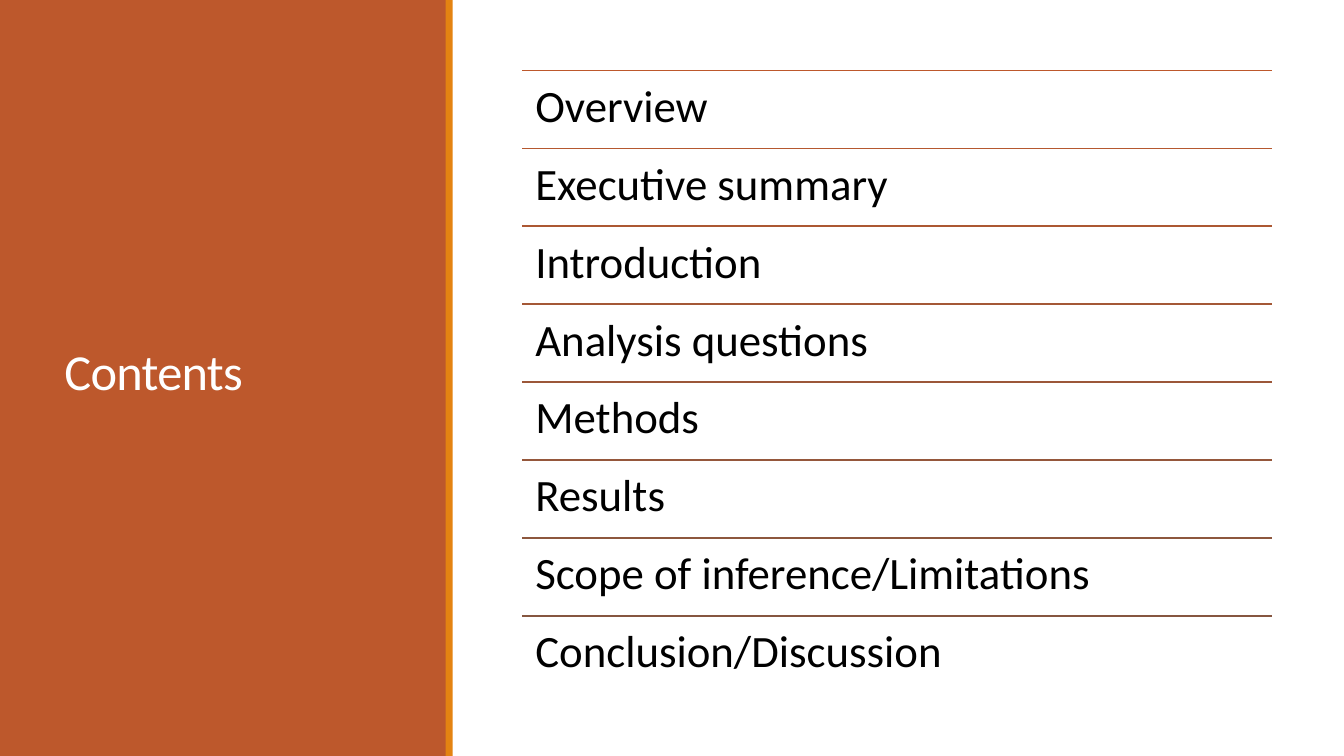
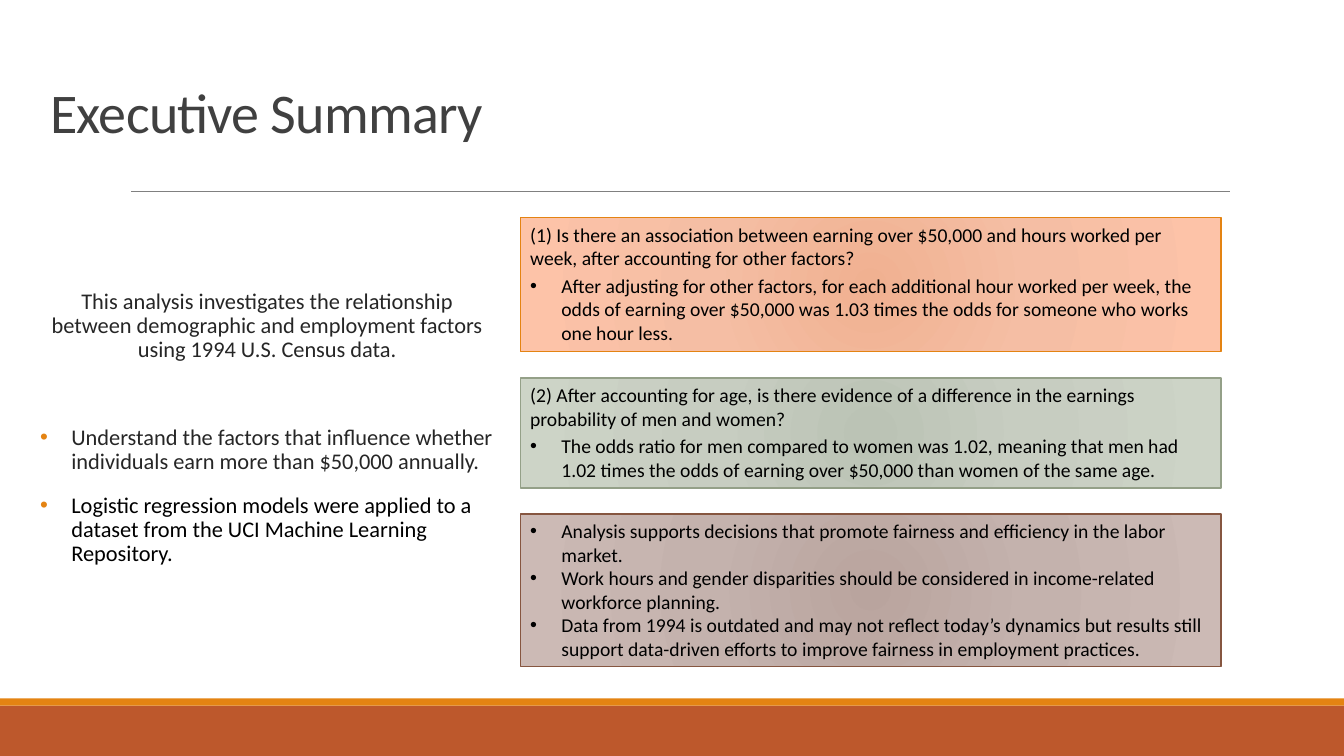
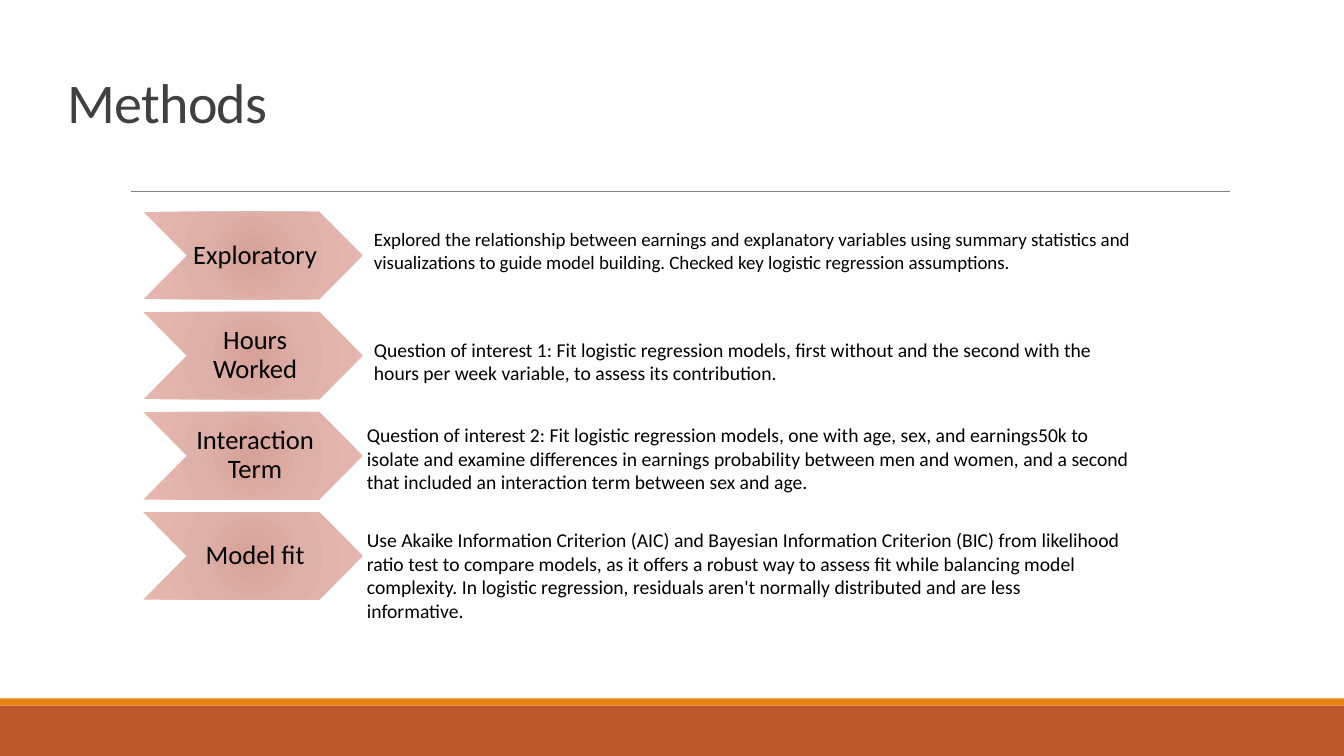
from lxml import etree
from pptx import Presentation
from pptx.dml.color import RGBColor
from pptx.enum import shapes, text
from pptx.oxml import ns
from pptx.util import Inches, Pt

FONT = "Calibri"
COLORS = {
    "rust": "BD582C", "orange": "E48312", "sage": "94A088", "brown": "865640",
    "white": "FFFFFF", "black": "000000", "title": "404040", "body": "262626",
    "rule": "808080",
}
# Gradient stops, from the centre outwards
GRADIENTS = {
    "orange": ("F0B191", "F5BEA4", "FDC3A8"),
    "sage": ("BBC3B5", "C7CDC1", "CDD4C7"),
    "brown": ("B9A49E", "C4B2AD", "CCBAB5"),
    "chevron": ("D7A197", "DEB1A8", "E6B7AE"),
}
TOP, MIDDLE, BOTTOM = (text.MSO_ANCHOR.TOP, text.MSO_ANCHOR.MIDDLE,
                       text.MSO_ANCHOR.BOTTOM)
CENTER = text.PP_ALIGN.CENTER
INSETS = (0.1, 0.05, 0.1, 0.05)

# Section name and the colour of the line above it
SECTIONS = [
    ("Overview", "BD582C"),
    ("Executive summary", "B5582F"),
    ("Introduction", "AC5833"),
    ("Analysis questions", "A45836"),
    ("Methods", "9C5739"),
    ("Results", "95573B"),
    ("Scope of inference/Limitations", "8D573E"),
    ("Conclusion/Discussion", "865640"),
]

# Colour, height, question (if any), bullets
FINDINGS = [
    ("orange", 1.33,
     "(1) Is there an association between earning over $50,000 and hours "
     "worked per week, after accounting for other factors?",
     ["After adjusting for other factors, for each additional hour worked per "
      "week, the odds of earning over $50,000 was 1.03 times the odds for "
      "someone who works one hour less."]),
    ("sage", 1.09,
     "(2) After accounting for age, is there evidence of a difference in the "
     "earnings probability of men and women?",
     ["The odds ratio for men compared to women was 1.02, meaning that men had "
      "1.02 times the odds of earning over $50,000 than women of the same "
      "age."]),
    ("brown", 1.51, None,
     ["Analysis supports decisions that promote fairness and efficiency in the "
      "labor market.",
      "Work hours and gender disparities should be considered in "
      "income-related workforce planning.",
      "Data from 1994 is outdated and may not reflect today’s dynamics but "
      "results still support data-driven efforts to improve fairness in "
      "employment practices."]),
]

# Step, description box, text size, description
STEPS = [
    ("Exploratory", (3.61, 2.21, 7.87, 0.56), 13.5,
     "Explored the relationship between earnings and explanatory variables "
     "using summary statistics and visualizations to guide model building. "
     "Checked key logistic regression assumptions."),
    ("Hours Worked", (3.61, 3.3, 7.81, 0.57), 14,
     "Question of interest 1: Fit logistic regression models, first without "
     "and the second with the hours per week variable, to assess its "
     "contribution."),
    ("Interaction Term", (3.54, 4.15, 7.81, 0.81), 14,
     "Question of interest 2: Fit logistic regression models, one with age, "
     "sex, and earnings50k to isolate and examine differences in earnings "
     "probability between men and women, and a second that included an "
     "interaction term between sex and age."),
    ("Model fit", (3.54, 5.19, 7.68, 1.04), 14,
     "Use Akaike Information Criterion (AIC) and Bayesian Information "
     "Criterion (BIC) from likelihood ratio test to compare models, as it "
     "offers a robust way to assess fit while balancing model complexity. In "
     "logistic regression, residuals aren't normally distributed and are less "
     "informative."),
]


def rgb(color):
    return RGBColor.from_string(COLORS.get(color, color))


def set_attrs(obj, values):
    for name, value in values.items():
        setattr(obj, name, value)


# Shapes and lines
def add_shape(s, box, fill=None, gradient=None, line=None,
              kind=shapes.MSO_SHAPE.RECTANGLE):
    sp = s.shapes.add_shape(kind, *map(Inches, box))
    sp.shadow.inherit = False
    if gradient:
        set_gradient(sp, GRADIENTS[gradient])
    else:
        sp.fill.solid()
        sp.fill.fore_color.rgb = rgb(fill)
    if line:
        sp.line.color.rgb = rgb(line)
        sp.line.width = Pt(1)
    else:
        sp.line.fill.background()
    return sp


def set_gradient(sp, stops):
    sp.fill.background()
    spPr = sp._element.spPr
    grad = etree.Element(ns.qn("a:gradFill"), rotWithShape="1")
    gs_list = etree.SubElement(grad, ns.qn("a:gsLst"))
    for pos, color in zip((0, 45, 100), stops):
        gs = etree.SubElement(gs_list, ns.qn("a:gs"), pos=str(pos * 1000))
        etree.SubElement(gs, ns.qn("a:srgbClr"), val=color)
    circle = etree.SubElement(grad, ns.qn("a:path"))
    circle.set("path", "circle")
    etree.SubElement(circle, ns.qn("a:fillToRect"),
                     dict.fromkeys("ltrb", "100000"))
    spPr.replace(spPr.find(ns.qn("a:noFill")), grad)


def add_line(s, left, right, y, color, width):
    line = s.shapes.add_connector(shapes.MSO_CONNECTOR.STRAIGHT, Inches(left),
                                  Inches(y), Inches(right), Inches(y))
    line.line.color.rgb = rgb(color)
    line.line.width = Pt(width)
    etree.SubElement(line._element.spPr, ns.qn("a:effectLst"))


# Text
def setup_frame(sp, anchor=TOP, insets=INSETS):
    tf = sp.text_frame
    margins = ("margin_left", "margin_top", "margin_right", "margin_bottom")
    set_attrs(tf, {"word_wrap": True, "vertical_anchor": anchor,
                   **dict(zip(margins, map(Inches, insets)))})
    return tf


def set_bullet(p, color=None):
    pPr = p._p.get_or_add_pPr()
    pPr.set("marL", str(Inches(0.31)))
    pPr.set("indent", str(-Inches(0.31)))
    if color:
        clr = etree.SubElement(pPr, ns.qn("a:buClr"))
        etree.SubElement(clr, ns.qn("a:srgbClr"), val=COLORS[color])
    etree.SubElement(pPr, ns.qn("a:buFont"), typeface="Arial")
    etree.SubElement(pPr, ns.qn("a:buChar"), char="•")


def add_para(tf, words, size, color="black", bullet=False, bullet_color=None,
             **para_format):
    p = tf.paragraphs[0]
    if p.runs:
        p = tf.add_paragraph()
    if bullet:
        set_bullet(p, bullet_color)
    set_attrs(p, {"alignment": text.PP_ALIGN.LEFT, **para_format})
    r = p.add_run()
    r.text = words
    set_attrs(r.font, {"name": FONT, "size": Pt(size)})
    r.font.color.rgb = rgb(color)
    return r


def add_text(s, box, words, size, color="black", anchor=TOP, insets=INSETS,
             **para_format):
    sp = s.shapes.add_textbox(*map(Inches, box))
    return add_para(setup_frame(sp, anchor, insets), words, size, color,
                    **para_format)


# Parts that slides share
def add_title(s, box, words, size=40, color="title", anchor=MIDDLE):
    r = add_text(s, box, words, size, color, anchor, line_spacing=0.85)
    r._r.get_or_add_rPr().set("spc", "-50")


def new_slide(prs):
    return prs.slides.add_slide(prs.slide_layouts[6])


def new_content_slide(prs):
    s = new_slide(prs)
    add_shape(s, (0, 7, 13.33, 0.5), "rust")
    add_shape(s, (0, 6.93, 13.33, 0.07), "orange")
    add_line(s, 1.3, 12.2, 1.9, "rule", 0.5)
    return s


# Slides
def contents_slide(prs):
    s = new_slide(prs)
    add_shape(s, (0, 0, 4.43, 7.5), "rust")
    add_shape(s, (4.42, 0, 0.07, 7.5), "orange")
    add_title(s, (0.54, 0.57, 3.37, 6.31), "Contents", 36, "white")
    pitch = 5.41 / (len(SECTIONS) - 1)
    for i, (name, color) in enumerate(SECTIONS):
        y = 0.7 + i * pitch
        add_line(s, 5.18, 12.62, y, color, 1.25)
        add_text(s, (5.18, y, 7.43, pitch), name, 32, insets=[0.13] * 4,
                 line_spacing=0.9)


def summary_slide(prs):
    s = new_content_slide(prs)
    add_title(s, (0.4, 0.42, 6.05, 1.07), "Executive Summary", anchor=BOTTOM)

    # Purpose and approach
    sp = s.shapes.add_textbox(*map(Inches, (0.3, 2.83, 4.7, 3.39)))
    tf = setup_frame(sp)
    spacing = {"line_spacing": 0.9, "space_after": Pt(2)}
    add_para(tf, "This analysis investigates the relationship between "
             "demographic and employment factors using 1994 U.S. Census data.",
             16, "body", **{**spacing, "alignment": CENTER})
    for words, color, before in [
        ("Understand the factors that influence whether individuals earn more "
         "than $50,000 annually.", "body", 43),
        ("Logistic regression models were applied to a dataset from the UCI "
         "Machine Learning Repository.", "black", 12),
    ]:
        add_para(tf, words, 16, color, bullet=True, bullet_color="orange",
                 space_before=Pt(before), **spacing)

    # Findings, stacked with equal gaps
    y = 2.16
    for color, height, question, bullets in FINDINGS:
        sp = add_shape(s, (5.16, y, 6.95, height), gradient=color, line=color)
        tf = setup_frame(sp)
        if question:
            add_para(tf, question, 14)
        for words in bullets:
            add_para(tf, words, 14, bullet=True,
                     space_before=Pt(2.8 if question else 0))
        y += height + 0.26


def methods_slide(prs):
    s = new_content_slide(prs)
    add_title(s, (0.57, 0.41, 3.87, 1.29), "Methods")
    pitch = 2.98 / (len(STEPS) - 1)
    for i, (step, box, size, words) in enumerate(STEPS):
        y = 2.1 + i * pitch
        add_shape(s, (1.42, y, 2.18, 0.87), gradient="chevron",
                  kind=shapes.MSO_SHAPE.CHEVRON)
        add_text(s, (1.86, y, 1.31, 0.87), step, 19, anchor=MIDDLE,
                 insets=(0.03, 0.01, 0, 0.01), alignment=CENTER,
                 line_spacing=0.9)
        add_text(s, box, words, size)


def main():
    prs = Presentation()
    prs.slide_width, prs.slide_height = Inches(13.33), Inches(7.5)
    contents_slide(prs)
    summary_slide(prs)
    methods_slide(prs)
    prs.save("out.pptx")


if __name__ == "__main__":
    main()
